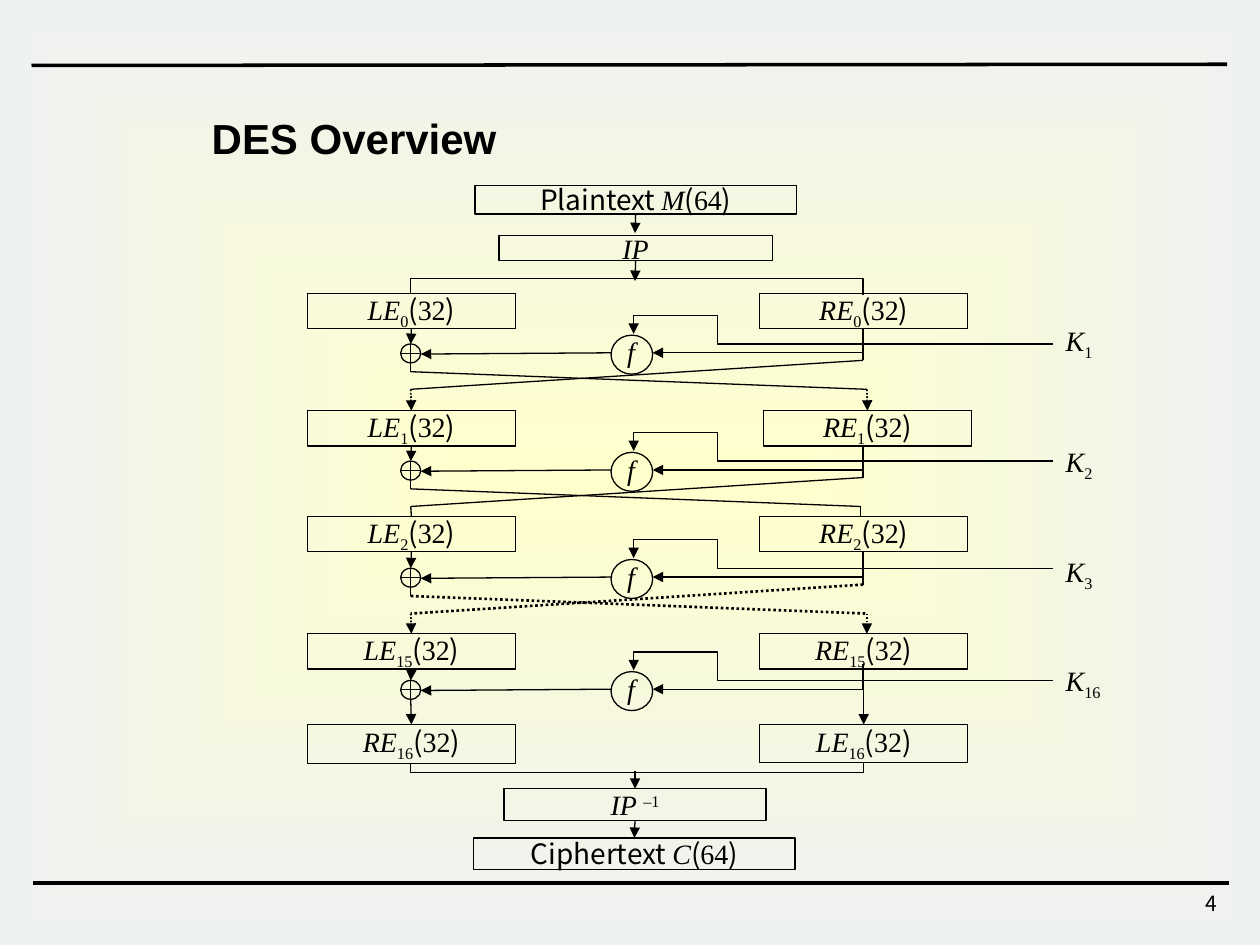
from dataclasses import dataclass

from lxml import etree
from pptx import Presentation
from pptx.dml.color import RGBColor
from pptx.enum.dml import MSO_LINE as Dash
from pptx.enum.shapes import MSO_CONNECTOR as Link, MSO_SHAPE as Shape
from pptx.enum.text import MSO_ANCHOR as Anchor, PP_ALIGN as Align
from pptx.oxml.ns import qn
from pptx.util import Inches, Pt


@dataclass(frozen=True)
class Theme:
    ink: RGBColor = RGBColor(0, 0, 0)
    glow: RGBColor = RGBColor(0xFF, 0xFF, 0xCC)
    edge: RGBColor = RGBColor(0xEE, 0xF1, 0xF2)
    heading: str = "Arial"
    sans: str = "Noto Sans CJK KR"
    serif: str = "Times New Roman"
    title_size: int = 24
    label_size: int = 16
    page_size: int = 12
    thin: float = 0.75


THEME = Theme()
TOP, BOTTOM = 0, 2  # connection sites of a rectangle


def add_text(para, text, font=THEME.serif, size=THEME.label_size,
             bold=False, italic=False, baseline=0):
    span = para.add_run()
    span.text = text
    span.font.name, span.font.size = font, Pt(size)
    span.font.bold, span.font.italic = bold, italic
    span.font.color.rgb = THEME.ink
    if baseline:
        span.font._element.set("baseline", str(baseline * 1000))


def add_symbol(para, name, index):
    add_text(para, name, italic=True)
    add_text(para, index, baseline=-25)


def add_bits(para, bits):
    add_text(para, "(", font=THEME.sans)
    add_text(para, bits)
    add_text(para, ")", font=THEME.sans)


class Board:
    def __init__(self, slide, theme):
        self.slide, self.theme = slide, theme

    def background(self):
        fill = self.slide.background.fill
        fill.gradient()
        for stop, color in zip(fill.gradient_stops, (self.theme.glow, self.theme.edge)):
            stop.color.rgb = color
        gradient = next(self.slide.element.iter(qn("a:gradFill")))
        gradient.remove(gradient.find(qn("a:lin")))
        shade = etree.SubElement(gradient, qn("a:path"), path="shape")
        etree.SubElement(shade, qn("a:fillToRect"), l="50000", t="50000", r="50000", b="50000")

    def title(self, text, left, top, width, height):
        box = self.slide.shapes.title
        box.left, box.top, box.width, box.height = map(Inches, (left, top, width, height))
        frame = box.text_frame
        frame.word_wrap, frame.vertical_anchor = False, Anchor.TOP
        para = frame.paragraphs[0]
        para.alignment = Align.LEFT
        add_text(para, text, font=self.theme.heading, size=self.theme.title_size, bold=True)

    def text_box(self, left, top, width, height, align=Align.LEFT):
        box = self.slide.shapes.add_textbox(*map(Inches, (left, top, width, height)))
        box.text_frame.word_wrap = True
        para = box.text_frame.paragraphs[0]
        para.alignment = align
        return para

    def outline(self, kind, left, top, width, height):
        shape = self.slide.shapes.add_shape(kind, *map(Inches, (left, top, width, height)))
        shape.shadow.inherit = False
        shape.fill.background()
        shape.line.color.rgb = self.theme.ink
        shape.line.width = Pt(self.theme.thin)
        return shape

    def block(self, left, top, width, height):
        box = self.outline(Shape.RECTANGLE, left, top, width, height)
        frame = box.text_frame
        frame.word_wrap, frame.vertical_anchor = False, Anchor.MIDDLE
        para = frame.paragraphs[0]
        para.alignment = Align.CENTER
        return box, para

    def half_block(self, left, top, name, index, height=0.28):
        box, para = self.block(left, top, 1.65, height)
        add_symbol(para, name, index)
        add_bits(para, "32")
        return box

    def connector(self, kind, start, end, arrow, weight, dotted):
        link = self.slide.shapes.add_connector(kind, *map(Inches, (*start, *end)))
        link.line.color.rgb = self.theme.ink
        link.line.width = Pt(weight or self.theme.thin)
        if dotted:
            link.line.dash_style = Dash.ROUND_DOT
        if arrow:
            etree.SubElement(link.line._get_or_add_ln(), qn("a:tailEnd"), type="triangle")
        etree.SubElement(link.element.spPr, qn("a:effectLst"))
        return link

    def line(self, start, end, arrow=False, weight=None, dotted=False, begin=None, finish=None):
        """Straight line; begin and finish are optional (box, side) joints."""
        link = self.connector(Link.STRAIGHT, start, end, arrow, weight, dotted)
        if begin:
            link.begin_connect(*begin)
        if finish:
            link.end_connect(*finish)

    def elbow(self, start, end, preset, adjusts=(), arrow=False, upright=False):
        """Bent line; an upright one leaves its start vertically."""
        link = self.connector(Link.ELBOW, start, end, arrow, None, False)
        geometry = link.element.spPr.find(qn("a:prstGeom"))
        geometry.set("prst", preset)
        guides = geometry.find(qn("a:avLst"))
        for number, value in enumerate(adjusts, 1):
            name = "adj" if preset == "bentConnector3" and len(adjusts) > 1 else f"adj{number}"
            etree.SubElement(guides, qn("a:gd"), name=name, fmla=f"val {round(value * 100000)}")
        if upright:
            (x1, y1), (x2, y2) = start, end
            width, height = abs(y2 - y1), abs(x2 - x1)
            link.left = Inches((x1 + x2 - width) / 2)
            link.top = Inches((y1 + y2 - height) / 2)
            link.width, link.height = Inches(width), Inches(height)
            frame = link.element.spPr.find(qn("a:xfrm"))
            frame.set("rot", "5400000")
            frame.set("flipH", str(int(y2 < y1)))
            frame.set("flipV", str(int(x2 > x1)))


LEFT, MIDDLE, RIGHT = 3.26, 5.04, 6.85  # axes of the diagram
LEFT_BLOCK, RIGHT_BLOCK = 2.44, 6.03
# index, key, block top, XOR top, key label top, right block left
ROUNDS = [
    ("0", "1", 2.33, 2.73, 2.52, RIGHT_BLOCK),
    ("1", "2", 3.26, 3.66, 3.48, 6.06),
    ("2", "3", 4.10, 4.51, 4.35, RIGHT_BLOCK),
    ("15", "16", 5.03, 5.40, 5.22, RIGHT_BLOCK),
]
# after each round: arrival x on the right, dotted crossing, dotted arrow into the block
SWAPS = [(6.88, False, True), (6.83, False, False), (6.88, True, True)]


def draw_round(board, key, top, key_top, left_box):
    """XOR, round function and key input of one round."""
    board.outline(Shape.FLOWCHART_OR, 3.18, top, 0.16, 0.15)
    board.line((LEFT, top - 0.1), (LEFT, top), arrow=True, begin=(left_box, BOTTOM))
    board.outline(Shape.OVAL, 4.85, top - 0.07, 0.33, 0.31)
    add_text(board.text_box(4.88, top - 0.12, 0.24, 0.37), "f", italic=True)
    board.elbow((RIGHT, top - 0.13), (5.18, top + 0.07), "bentConnector2", arrow=True, upright=True)
    board.line((4.85, top + 0.07), (3.34, top + 0.08), arrow=True)
    board.elbow((8.36, top), (5.03, top - 0.08), "bentConnector4", (0.8, 2.83), arrow=True)
    add_symbol(board.text_box(8.36, key_top, 0.58, 0.37), "K", key)


def draw_swap(board, top, block_bottom, next_top, swap, next_left, next_right):
    """Crossing of the halves on the way to the next round."""
    arrival, dotted, drop = swap
    cross = dict(weight=1.5 if dotted else None, dotted=dotted)
    enter = dict(weight=1 if drop else None, dotted=drop, arrow=drop)
    board.line((RIGHT, block_bottom), (RIGHT, top + 0.13))
    board.line((RIGHT, top + 0.13), (LEFT, top + 0.36), **cross)
    board.line((LEFT, top + 0.15), (LEFT, top + 0.22))
    board.line((LEFT, top + 0.22), (arrival, top + 0.36), **cross)
    board.line((LEFT, top + 0.36), (LEFT, next_top), finish=(next_left, TOP), **enter)
    centered = abs(next_right.left + next_right.width / 2 - Inches(arrival)) < Inches(0.01)
    board.line((arrival, top + 0.36), (arrival, next_top),
               finish=(next_right, TOP) if centered else None, **enter)


def main():
    deck = Presentation()
    deck.slide_width, deck.slide_height = Inches(10), Inches(7.5)
    board = Board(deck.slides.add_slide(deck.slide_layouts[5]), THEME)

    # Page frame
    board.background()
    board.line((0.25, 0.52), (9.74, 0.51), weight=2)
    board.line((0.26, 7.01), (9.75, 7.01), weight=2)
    add_text(board.text_box(7.68, 7.02, 2.08, 0.33, Align.RIGHT), "4",
             font=THEME.sans, size=THEME.page_size)
    board.title("DES Overview", 1.58, 0.84, 2.55, 0.5)

    # Message blocks and permutations
    ends = []
    for left, top, height, word, symbol in ((3.77, 1.47, 0.23, "Plaintext ", "M"),
                                            (3.76, 6.65, 0.25, "Ciphertext ", "C")):
        box, para = board.block(left, top, 2.55, height)
        add_text(para, word, font=THEME.sans)
        add_text(para, symbol, italic=True)
        add_bits(para, "64")
        ends.append(box)
    plaintext, ciphertext = ends
    permutation, para = board.block(3.96, 1.87, 2.17, 0.2)
    add_text(para, "IP", italic=True)
    inverse, para = board.block(4, 6.26, 2.08, 0.25)
    add_text(para, "IP ", italic=True)
    add_text(para, "–", italic=True, baseline=30)
    add_text(para, "1", baseline=30)

    # Half blocks
    lefts = [board.half_block(LEFT_BLOCK, row[2], "LE", row[0]) for row in ROUNDS]
    rights = [board.half_block(row[5], row[2], "RE", row[0]) for row in ROUNDS]
    last_left = board.half_block(LEFT_BLOCK, 5.75, "RE", "16", height=0.31)
    last_right = board.half_block(RIGHT_BLOCK, 5.75, "LE", "16", height=0.3)

    # Input and output flow
    board.line((MIDDLE, 1.7), (MIDDLE, 1.85), arrow=True, begin=(plaintext, BOTTOM))
    board.line((MIDDLE, 2.08), (MIDDLE, 2.23), arrow=True, begin=(permutation, BOTTOM))
    board.elbow((LEFT, 2.33), (RIGHT, 2.34), "bentConnector3", (-12,), upright=True)
    board.elbow((LEFT, 6.06), (RIGHT, 6.05), "bentConnector3", (-7,), upright=True)
    board.line((MIDDLE, 6.12), (MIDDLE, 6.26), arrow=True, finish=(inverse, TOP))
    board.line((MIDDLE, 6.51), (MIDDLE, 6.65), arrow=True,
               begin=(inverse, BOTTOM), finish=(ciphertext, TOP))

    # Rounds and swaps
    for (_, key, _, top, key_top, _), left_box in zip(ROUNDS, lefts):
        draw_round(board, key, top, key_top, left_box)
    for place, swap in enumerate(SWAPS):
        draw_swap(board, ROUNDS[place][3], ROUNDS[place][2] + 0.28, ROUNDS[place + 1][2],
                  swap, lefts[place + 1], rights[place + 1])
    board.line((LEFT, 5.55), (LEFT, 5.75), arrow=True, finish=(last_left, TOP))
    board.line((RIGHT, 5.31), (RIGHT, 5.75), arrow=True,
               begin=(rights[-1], BOTTOM), finish=(last_right, TOP))

    deck.save("out.pptx")


if __name__ == "__main__":
    main()
